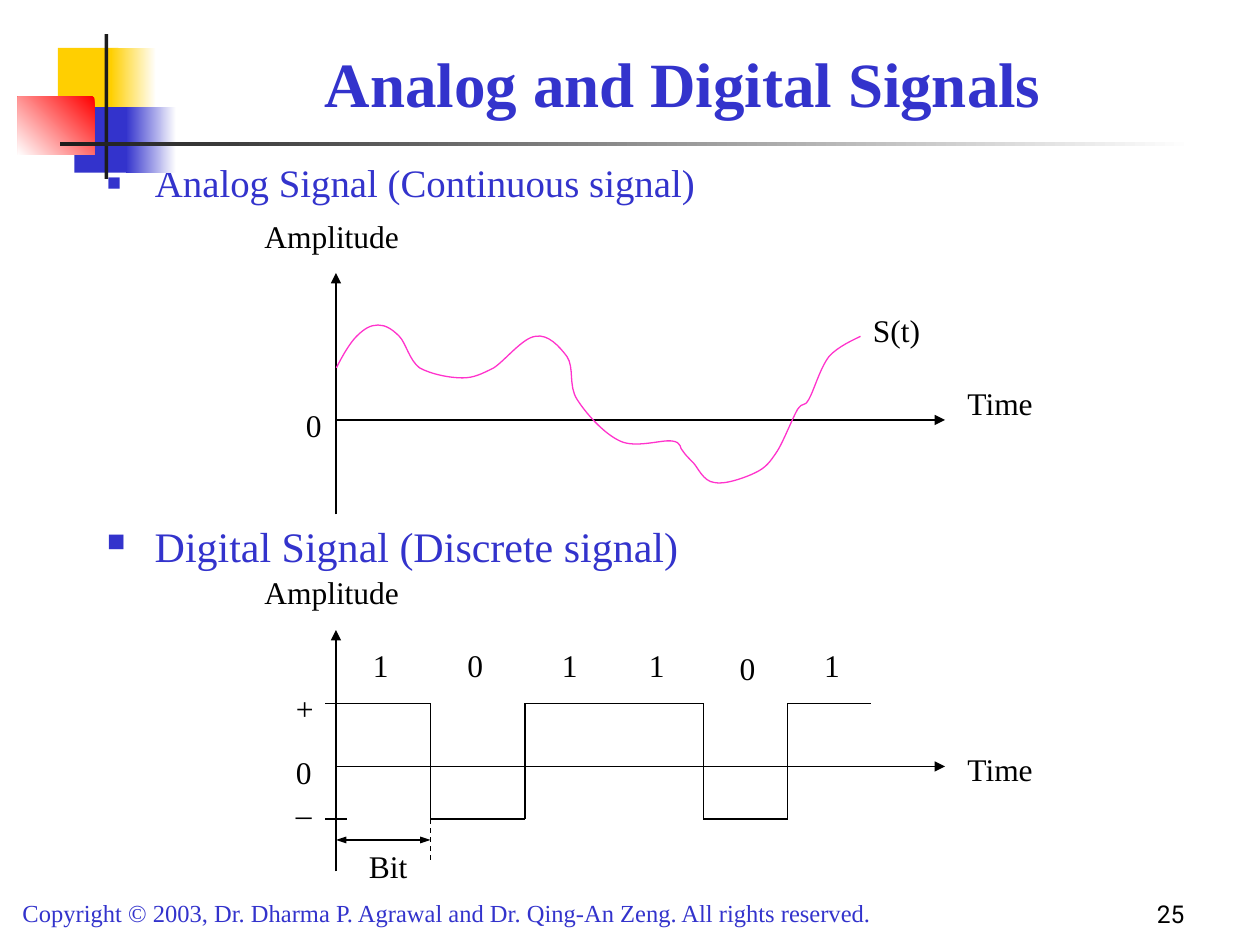
from lxml import etree
from pptx import Presentation
from pptx.dml.color import RGBColor
from pptx.enum.dml import MSO_LINE
from pptx.enum.shapes import MSO_CONNECTOR, MSO_SHAPE
from pptx.enum.text import MSO_ANCHOR, MSO_AUTO_SIZE, PP_ALIGN
from pptx.oxml.ns import qn
from pptx.util import Inches, Pt

LEFT, CENTER, RIGHT = PP_ALIGN.LEFT, PP_ALIGN.CENTER, PP_ALIGN.RIGHT
TOP, BOTTOM = MSO_ANCHOR.TOP, MSO_ANCHOR.BOTTOM
RECTANGLE, STRAIGHT = MSO_SHAPE.RECTANGLE, MSO_CONNECTOR.STRAIGHT
DASH, NO_AUTOFIT = MSO_LINE.DASH, MSO_AUTO_SIZE.NONE
SERIF = "Times New Roman"
BLUE, BLACK, WHITE, PINK = "3333CC", "000000", "FFFFFF", "FF33CC"
YELLOW, RED, DARK = "FFCF01", "FF0000", "1C1C1C"
color = RGBColor.from_string

prs = Presentation()
prs.slide_width, prs.slide_height = Inches(10), Inches(7.5)
slide = prs.slides.add_slide(prs.slide_layouts[1])
shapes = slide.shapes


def write(text, at, size=18, hue=BLACK, align=LEFT, anchor=TOP, holder=None, inset=0.1, **font):
    """Put text in a placeholder or a new text box and return its paragraph."""
    left, top, width, height = (Inches(v) for v in at)
    box = holder or shapes.add_textbox(left, top, width, height)
    box.left, box.top, box.width, box.height = left, top, width, height
    frame = box.text_frame
    frame.word_wrap, frame.auto_size = True, NO_AUTOFIT
    frame.vertical_anchor, frame.margin_left = anchor, Inches(inset)
    paragraph = frame.paragraphs[0]
    paragraph.alignment, paragraph.space_before = align, Pt(0)
    run = paragraph.add_run()
    run.text = text
    run.font.color.rgb = color(hue)
    for key, value in {"name": SERIF, "size": Pt(size), **font}.items():
        setattr(run.font, key, value)
    return paragraph


def draw_line(x1, y1, x2, y2, ends=(), dash=None, head_width="med"):
    """Draw a thin black line on a grid of twelfths of an inch."""
    line = shapes.add_connector(STRAIGHT, *(Inches(round(v * 12) / 12) for v in (x1, y1, x2, y2)))
    line.line.color.rgb = color(BLACK)
    line.line.width = Pt(0.75)
    if dash:
        line.line.dash_style = dash
    properties = line._element.spPr
    for end in ends:
        etree.SubElement(properties.find(qn("a:ln")), qn(f"a:{end}"),
                         type="triangle", w=head_width, len="med")
    etree.SubElement(properties, qn("a:effectLst"))


# Corner ornament and title rule: position, start colour, end colour, angle
ornament = [
    ((0.46, 0.38, 0.48, 0.52), YELLOW, None, 0),
    ((0.88, 0.38, 0.36, 0.52), WHITE, YELLOW, 180),
    ((0.59, 0.85, 0.46, 0.52), BLUE, None, 0),
    ((1, 0.85, 0.4, 0.52), WHITE, BLUE, 180),
    ((0.14, 0.77, 0.61, 0.46), RED, WHITE, 225),
    ((0.83, 0.27, 0.03, 1.15), DARK, None, 0),
    ((0.48, 1.13, 9, 0.03), WHITE, DARK, 180),
]
for at, start, end, angle in ornament:
    block = shapes.add_shape(RECTANGLE, *(Inches(v) for v in at))
    block.shadow.inherit = False
    block.line.fill.background()
    if end:
        block.fill.gradient()
        block.fill.gradient_angle = angle
        for stop, position, hue in zip(block.fill.gradient_stops, (0, 1), (start, end)):
            stop.position, stop.color.rgb = position, color(hue)
    else:
        block.fill.solid()
        block.fill.fore_color.rgb = color(start)

# Title, footer and page number
write("Analog and Digital Signals", (1.17, 0.17, 8.5, 0.83), 36, BLUE, CENTER, BOTTOM,
      holder=shapes.title, bold=True)
write("Copyright © 2003, Dr. Dharma P. Agrawal and Dr. Qing-An Zeng. All rights reserved.",
      (0.08, 7.08, 7.58, 0.34), 14, BLUE)
write("25", (7.42, 6.92, 2.08, 0.5), 14, align=RIGHT, anchor=BOTTOM, name="Roboto")

# Bulleted headings
analog_heading = write("Analog Signal (Continuous signal)", (0.75, 1.25, 6.08, 0.5), 22.2,
                       BLUE, holder=slide.placeholders[1])
analog_heading.line_spacing = 0.9
digital_heading = write("Digital Signal (Discrete signal)", (0.75, 4.08, 8.5, 0.42), 24, BLUE)
for heading in (analog_heading, digital_heading):
    properties = heading._p.get_or_add_pPr()
    properties.set("marL", str(Inches(0.38)))
    properties.set("indent", str(-Inches(0.38)))
    bullet_color = etree.SubElement(properties, qn("a:buClr"))
    etree.SubElement(bullet_color, qn("a:srgbClr"), val=BLUE)
    etree.SubElement(properties, qn("a:buSzPct"), val="60000")
    etree.SubElement(properties, qn("a:buChar"), char="■")

# Axes of both graphs
ORIGIN_X, AXIS_END = 2.67, 7.5
for zero_y, axis_top, axis_bottom, time_y, amplitude_y in (
    (3.33, 2.17, 4.08, 3, 1.67),
    (6.08, 5, 6.92, 5.9, 4.5),
):
    draw_line(ORIGIN_X, zero_y, AXIS_END, zero_y, ["tailEnd"])
    draw_line(ORIGIN_X, axis_bottom, ORIGIN_X, axis_top, ["tailEnd"])
    write("Time", (7.58, time_y, 0.83, 0.4))
    write("Amplitude", (2, amplitude_y, 1.67, 0.4))

# Analog curve: two control points and an end point for each Bezier piece
curve_start = (2.67, 2.92)
curve_points = [
    (2.72, 2.82), (2.78, 2.72), (2.83, 2.67), (2.89, 2.61), (2.94, 2.58), (3, 2.58),
    (3.06, 2.58), (3.11, 2.61), (3.17, 2.67), (3.22, 2.72), (3.25, 2.86), (3.33, 2.92),
    (3.42, 2.97), (3.57, 3), (3.67, 3), (3.76, 3), (3.82, 2.97), (3.92, 2.92),
    (4.01, 2.86), (4.15, 2.68), (4.25, 2.67), (4.35, 2.65), (4.44, 2.75), (4.5, 2.83),
    (4.56, 2.92), (4.51, 3.06), (4.58, 3.17), (4.65, 3.28), (4.79, 3.44), (4.92, 3.5),
    (5.04, 3.56), (5.25, 3.49), (5.33, 3.5), (5.42, 3.51), (5.39, 3.56), (5.42, 3.58),
    (5.44, 3.61), (5.46, 3.63), (5.5, 3.67), (5.54, 3.71), (5.58, 3.82), (5.67, 3.83),
    (5.75, 3.85), (5.92, 3.79), (6, 3.75), (6.08, 3.71), (6.11, 3.67), (6.17, 3.58),
    (6.22, 3.5), (6.29, 3.32), (6.33, 3.25), (6.38, 3.18), (6.38, 3.24), (6.42, 3.17),
    (6.46, 3.1), (6.51, 2.92), (6.58, 2.83), (6.65, 2.75), (6.79, 2.69), (6.83, 2.67),
]
builder = shapes.build_freeform(*(Inches(v) for v in curve_start))
builder.add_line_segments([(Inches(x), Inches(y)) for x, y in curve_points], close=False)
signal = builder.convert_to_shape()
signal.shadow.inherit = False
signal.fill.background()
signal.line.color.rgb = color(PINK)
signal.line.width = Pt(0.75)

# Turn every three straight segments into one Bezier piece
outline = next(signal._element.iter(qn("a:path")))
segments = outline.findall(qn("a:lnTo"))
for i in range(0, len(segments), 3):
    piece = etree.SubElement(outline, qn("a:cubicBezTo"))
    for segment in segments[i:i + 3]:
        piece.append(segment[0])
        outline.remove(segment)
write("S(t)", (6.83, 2.42, 0.67, 0.4))

# Digital signal: one level per bit, a vertical edge wherever the bit changes
HIGH, LOW = 5.58, 6.5
bits = "101101"
edges = [2.67, 3.42, 4.17, 4.83, 5.58, 6.25, 6.92]
for i, bit in enumerate(bits):
    level = HIGH if bit == "1" else LOW
    draw_line(edges[i], level, edges[i + 1], level)
    if i and bit != bits[i - 1]:
        draw_line(edges[i], HIGH, edges[i], LOW)

# Bit values, the two equal neighbours sharing one box
for label, x, y, width in (("1", 2.67, 5.08, 0.75), ("0", 3.42, 5.08, 0.75),
                           ("1\t1", 4.17, 5.08, 1.42), ("0", 5.58, 5.1, 0.75),
                           ("1", 6.25, 5.08, 0.67)):
    values = write(label, (x, y, width, 0.4), inset=0.29)
    if "\t" in label:
        tabs = etree.SubElement(values._p.get_or_add_pPr(), qn("a:tabLst"))
        etree.SubElement(tabs, qn("a:tab"), pos=str(Inches(0.69)), algn="l")

# Level ticks and axis labels
for level in (HIGH, LOW):
    draw_line(2.58, level, 2.75, level)
for label, x, y in (("0", 2.33, 3.17), ("+", 2.25, 5.42), ("0", 2.25, 5.93), ("_", 2.25, 6.17)):
    write(label, (x, y, 0.33, 0.4))

# Bit duration
draw_line(edges[1], LOW, edges[1], 6.83, dash=DASH)
draw_line(edges[0], 6.67, edges[1], 6.67, ["headEnd", "tailEnd"], head_width="sm")
write("Bit", (2.83, 6.67, 0.67, 0.4))

prs.save("out.pptx")
